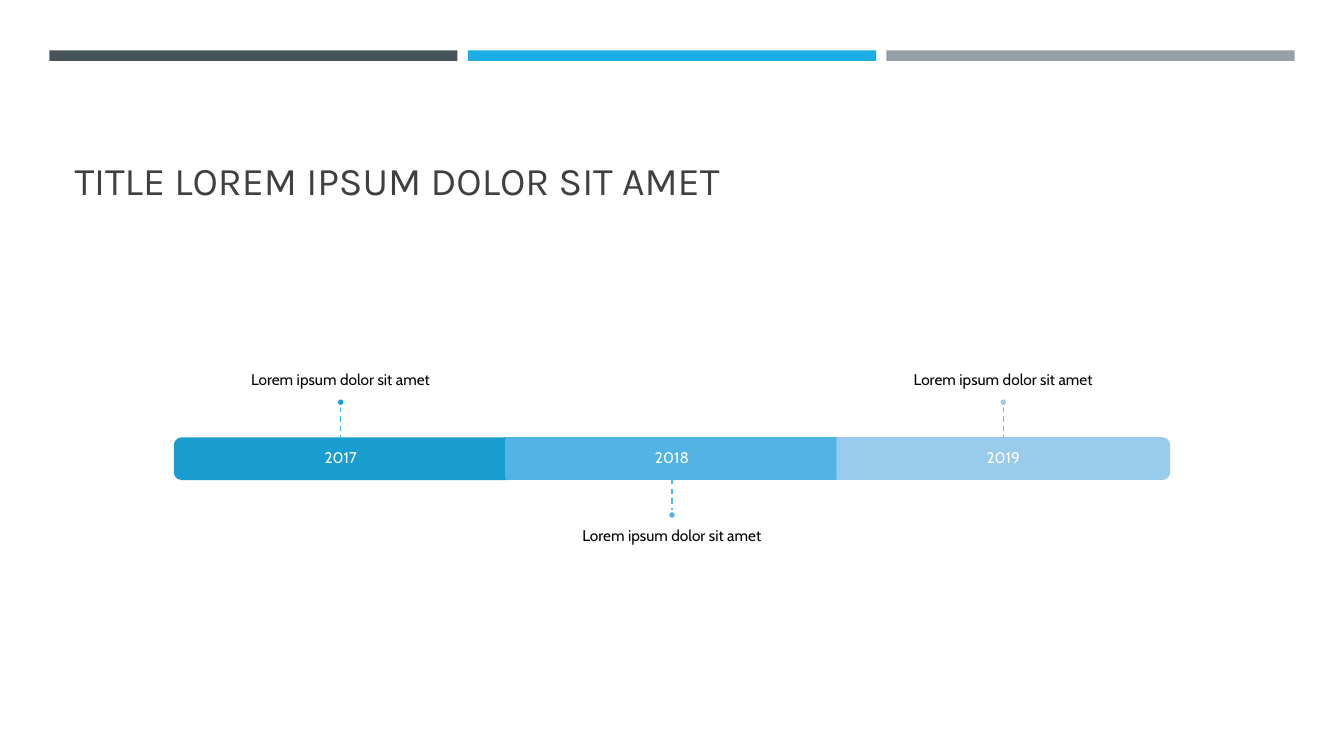
import pptx
import pptx.util
import pptx.dml.color
import pptx.enum.dml
import pptx.enum.shapes
import pptx.enum.text
import pptx.oxml.ns
import lxml.etree

Pt = pptx.util.Pt
KIND = pptx.enum.shapes.MSO_SHAPE
ALIGN = pptx.enum.text.PP_ALIGN
ANCHOR = pptx.enum.text.MSO_ANCHOR


def tint(code):
    return pptx.dml.color.RGBColor.from_string(code)


def apply(item, form):
    for name, value in form.items():
        setattr(item, name, value)


def draw(slide, kind, box, fill, edge=None, turn=0):
    shape = slide.shapes.add_shape(kind, *map(Pt, box))
    shape.shadow.inherit = False
    shape.rotation = turn
    shape.fill.solid()
    shape.fill.fore_color.rgb = tint(fill)
    if edge:
        shape.line.color.rgb = tint(edge)
        shape.line.width = Pt(1.75)
    else:
        shape.line.fill.background()


def write(slide, box, text, font, size, color, anchor, pads, form):
    frame = slide.shapes.add_textbox(*map(Pt, box)).text_frame
    sides = ("margin_left", "margin_top", "margin_right", "margin_bottom")
    apply(frame, {"word_wrap": True, "vertical_anchor": anchor})
    apply(frame, dict(zip(sides, map(Pt, pads))))
    para = frame.paragraphs[0]
    apply(para, form)
    run = para.add_run()
    run.text = text
    apply(run.font, {"name": font, "size": Pt(size)})
    run.font.color.rgb = tint(color)


def label(slide, box, text, color, anchor, pads):
    form = {"alignment": ALIGN.CENTER, "line_spacing": 0.9}
    write(slide, box, text, "Cabin", 11, color, anchor, pads, form)


def dash(slide, x, top, end, color):
    line = slide.shapes.add_connector(
        pptx.enum.shapes.MSO_CONNECTOR.STRAIGHT, Pt(x), Pt(top), Pt(x), Pt(end))
    line.line.color.rgb = tint(color)
    apply(line.line, {"width": Pt(1),
                      "dash_style": pptx.enum.dml.MSO_LINE.DASH})
    props = line._element.spPr
    lxml.etree.SubElement(props, pptx.oxml.ns.qn("a:effectLst"))


def header(slide, box, text):
    left, top, width, height = box
    gap = 7.4
    part = (width - 2 * gap) / 3
    for i, color in enumerate(("465359", "1CADE4", "969FA7")):
        draw(slide, KIND.RECTANGLE,
             (left + i * (part + gap), top, part, 7.5), color)
    write(slide, (left + 11, top + 19.6, width - 22, height - 19.6), text,
          "Karla", 28, "404040", ANCHOR.BOTTOM, (7.2, 3.6, 7.2, 3.6),
          {"alignment": ALIGN.LEFT, "line_spacing": 0.9})


def event(slide, x, edge, way, text, fill, dashed):
    reach, dot, wide, tall = 28.8, 5.8, 394.6, 100
    tip = edge + way * reach
    near = tip - way * dot
    dash(slide, x, min(edge, near), max(edge, near), dashed)
    draw(slide, KIND.OVAL, (x - dot / 2, min(tip, near), dot, dot),
         fill, "FFFFFF")
    if way < 0:
        top, anchor, pads = tip - tall, ANCHOR.BOTTOM, (0, 0, 0, 6.5)
    else:
        top, anchor, pads = tip, ANCHOR.TOP, (0, 6.5, 0, 0)
    label(slide, (x - wide / 2, top, wide, tall), text, "000000", anchor, pads)


def timeline(slide, box, stages):
    left, top, width, height = box
    part = width / len(stages)
    for i, (year, text, fill, dashed, way, turn) in enumerate(stages):
        start = left + i * part
        mid = start + part / 2
        if turn:
            draw(slide, KIND.ROUND_2_SAME_RECTANGLE,
                 (mid - height / 2, top + (height - part) / 2, height, part),
                 fill, fill, turn)
        else:
            draw(slide, KIND.RECTANGLE, (start, top, part, height), fill, fill)
        label(slide, (start, top, part, height), year, "FFFFFF",
              ANCHOR.MIDDLE, (6.5,) * 4)
        edge = top if way < 0 else top + height
        event(slide, mid, edge, way, text, fill, dashed)


deck = pptx.Presentation()
apply(deck, {"slide_width": Pt(960), "slide_height": Pt(540)})
page = deck.slides.add_slide(deck.slide_layouts[6])
header(page, (35.2, 36, 889.6, 113), "TITLE LOREM IPSUM DOLOR SIT AMET")
note = "Lorem ipsum dolor sit amet"
timeline(page, (125, 313.2, 710, 28.8), (
    ("2017", note, "199DCF", "36B3E9", -1, 270),
    ("2018", note, "52B3E5", "48B8EC", 1, 0),
    ("2019", note, "99CBEC", "5ABEEF", -1, 90),
))
deck.save("out.pptx")
